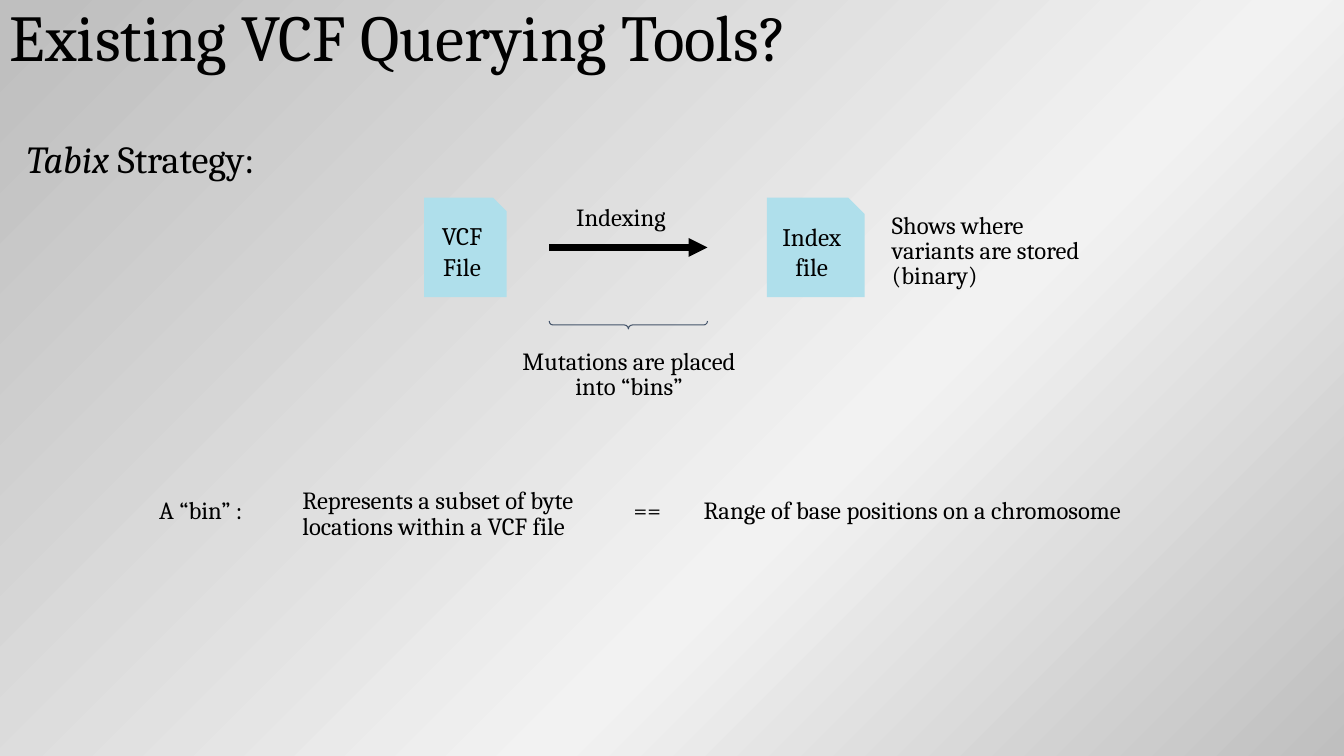
"""Build a slide on how Tabix indexes a VCF file into bins."""
import pptx
import pptx.dml.color
import pptx.enum.shapes
import pptx.enum.text
import pptx.oxml
import pptx.oxml.ns
import pptx.util

Cm, Pt = pptx.util.Cm, pptx.util.Pt
SHAPE = pptx.enum.shapes.MSO_SHAPE
ALIGN = pptx.enum.text.PP_ALIGN
ANCHOR = pptx.enum.text.MSO_ANCHOR
qn = pptx.oxml.ns.qn

FONT = "Cambria"
BLACK, BOX_FILL, BRACE_LINE = "000000", "AFDFEB", "44546A"
BACKGROUND = [(0, "BFBFBF"), (38, "F2F2F2"), (98, "BFBFBF")]
BODY = 17.6
RANGE_TAB = 1.76

HEADINGS = [
    ((0, 0, 24.05, 2.08), [("Existing VCF Querying Tools?", False)], 46.8, ANCHOR.MIDDLE),
    ((0.43, 3.45, 6.81, 1.32), [("Tabix ", True), ("Strategy:", False)], 27.3, ANCHOR.TOP),
]
LABELS = [
    ((14.27, 5.08, 3.12, 1.04), "Indexing", ALIGN.LEFT),
    ((22.23, 5.28, 5.28, 2.41), "Shows where variants are stored (binary)", ALIGN.LEFT),
    ((12.45, 8.71, 6.81, 1.78), "Mutations are placed into “bins”", ALIGN.CENTER),
    ((3.76, 12.45, 3.12, 1.27), "A “bin” :", ALIGN.LEFT),
    ((7.37, 12.22, 8.64, 1.78), "Represents a subset of byte locations within a VCF file", ALIGN.LEFT),
    ((15.72, 12.47, 15.37, 1.22), "==\tRange of base positions on a chromosome", ALIGN.LEFT),
]
FILES = [(10.69, 2.08, "VCF File"), (19.33, 2.46, "Index file")]
FILE_TOP, FILE_HEIGHT = 4.98, 2.51
ARROW_LEFT, ARROW_RIGHT = 13.84, 17.83
BRACE_MIDDLE, BRACE_DEPTH = 8.19, 0.2


def rgb(value):
    return pptx.dml.color.RGBColor.from_string(value)


def add_xml(parent, tag, **attrs):
    child = pptx.oxml.parse_xml(f"<{tag} {pptx.oxml.ns.nsdecls('a')}/>")
    for name, value in attrs.items():
        child.set(name, str(value))
    parent.append(child)
    return child


def paint_background(s):
    s.background.fill.gradient()
    grad = s.element.find(".//" + qn("a:gradFill"))
    for child in list(grad):
        grad.remove(child)
    stops = add_xml(grad, "a:gsLst")
    for position, color in BACKGROUND:
        stop = add_xml(stops, "a:gs", pos=position * 1000)
        add_xml(stop, "a:srgbClr", val=color)
    focus = add_xml(grad, "a:path", path="circle")
    add_xml(focus, "a:fillToRect", l=100000, t=100000)


def write(sp, runs, size, align=ALIGN.LEFT, anchor=ANCHOR.TOP, spacing=0.85):
    tf = sp.text_frame
    p = tf.paragraphs[0]
    if any("\t" in text for text, _ in runs):
        tabs = add_xml(p._p.get_or_add_pPr(), "a:tabLst")
        add_xml(tabs, "a:tab", pos=int(Cm(RANGE_TAB)), algn="l")
    for target, values in (
        (tf, {"word_wrap": True, "vertical_anchor": anchor}),
        (p, {"alignment": align, "line_spacing": spacing}),
    ):
        for name, value in values.items():
            setattr(target, name, value)
    for text, italic in runs:
        r = p.add_run()
        r.text = text
        for name, value in {"name": FONT, "size": Pt(size), "italic": italic}.items():
            setattr(r.font, name, value)
        r.font.color.rgb = rgb(BLACK)


def add_text(s, box, *args):
    write(s.shapes.add_textbox(*map(Cm, box)), *args)


def add_file(s, left, width, text):
    sp = s.shapes.add_shape(SHAPE.SNIP_1_RECTANGLE, *map(Cm, (left, FILE_TOP, width, FILE_HEIGHT)))
    sp.shadow.inherit = False
    sp.fill.solid()
    sp.fill.fore_color.rgb = rgb(BOX_FILL)
    sp.line.fill.background()
    write(sp, [(text, False)], 18, ALIGN.CENTER, ANCHOR.MIDDLE, 1.0)


def add_arrow(s):
    y = FILE_TOP + FILE_HEIGHT / 2
    line = s.shapes.add_connector(
        pptx.enum.shapes.MSO_CONNECTOR.STRAIGHT, Cm(ARROW_LEFT), Cm(y), Cm(ARROW_RIGHT), Cm(y))
    line.line.color.rgb = rgb(BLACK)
    line.line.width = Pt(4.5)
    add_xml(line.line._get_or_add_ln(), "a:tailEnd", type="triangle")
    add_xml(line._element.spPr, "a:effectLst")


def add_brace(s):
    length = ARROW_RIGHT - ARROW_LEFT
    left = (ARROW_LEFT + ARROW_RIGHT - BRACE_DEPTH) / 2
    sp = s.shapes.add_shape(
        SHAPE.RIGHT_BRACE, *map(Cm, (left, BRACE_MIDDLE - length / 2, BRACE_DEPTH, length)))
    sp.shadow.inherit = False
    sp.rotation = 90
    sp.adjustments[0] = 0.5
    sp.fill.background()
    sp.line.color.rgb = rgb(BRACE_LINE)
    sp.line.width = Pt(0.75)


def main():
    prs = pptx.Presentation()
    prs.slide_width, prs.slide_height = Cm(33.87), Cm(19.05)
    s = prs.slides.add_slide(prs.slide_layouts[6])
    paint_background(s)
    for box, runs, size, anchor in HEADINGS:
        add_text(s, box, runs, size, ALIGN.LEFT, anchor)
    for file in FILES:
        add_file(s, *file)
    add_arrow(s)
    add_brace(s)
    for box, text, align in LABELS:
        add_text(s, box, [(text, False)], BODY, align)
    prs.save("out.pptx")


if __name__ == "__main__":
    main()
